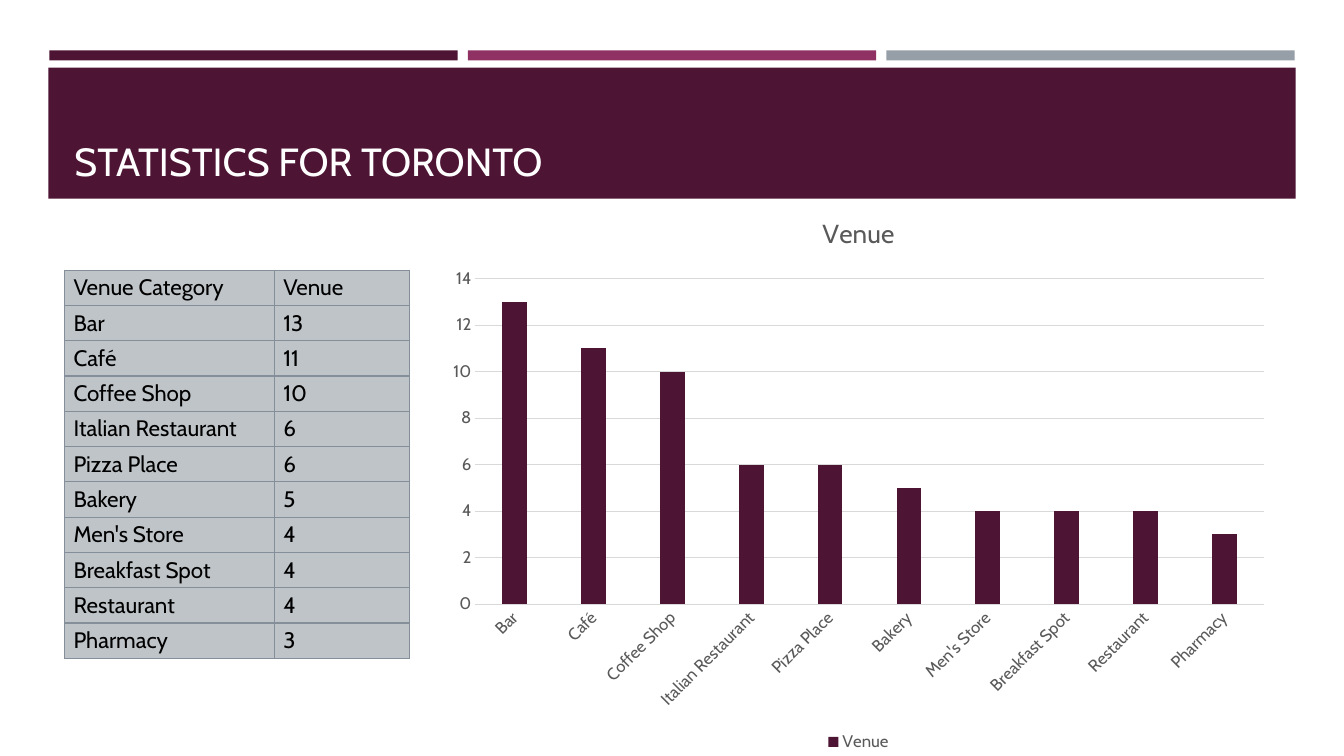
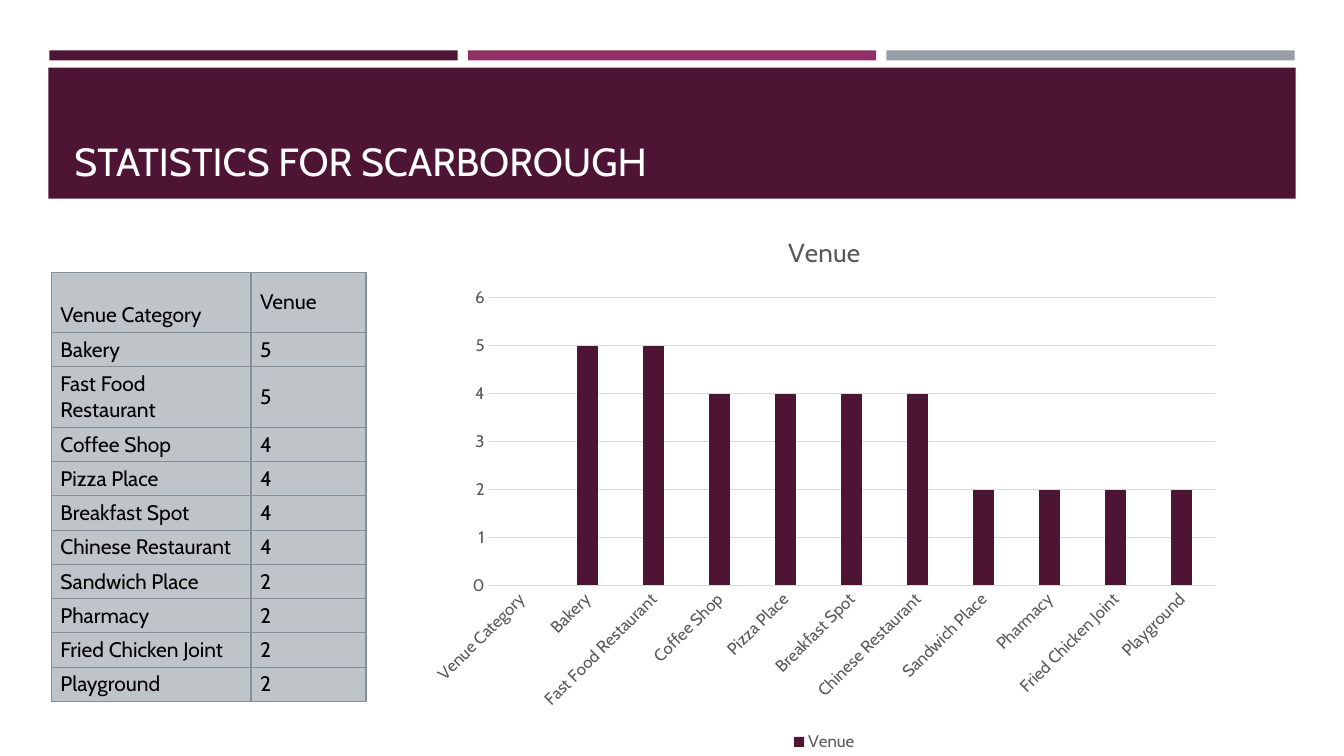
import pptx
import pptx.util
import pptx.chart.data
import pptx.dml.color
import pptx.enum.chart
import pptx.enum.shapes
import pptx.enum.text
import pptx.oxml
import pptx.oxml.ns

Inches, Pt = pptx.util.Inches, pptx.util.Pt
ANCHOR = pptx.enum.text.MSO_ANCHOR

COLORS = {
    "plum": "4D1434", "magenta": "903163", "gray": "969FA7", "white": "FFFFFF",
    "black": "000000", "label": "595959", "grid": "D9D9D9",
    "cell": "BFC4C8", "border": "858F99",
}
FONT = "Cabin"


def rgb(name):
    return pptx.dml.color.RGBColor.from_string(COLORS[name])


def style_font(font, size, color):
    font.name, font.size, font.bold = FONT, Pt(size), False
    font.color.rgb = rgb(color)


def write(tf, text, size=16, color="black", anchor=None):
    """Put one run of formatted text into a text frame."""
    if anchor is not None:
        tf.word_wrap = True
        tf.vertical_anchor = anchor
    r = tf.paragraphs[0].add_run()
    r.text = text
    style_font(r.font, size, color)


class Deck:
    def __init__(self):
        self.prs = pptx.Presentation()
        self.prs.slide_width, self.prs.slide_height = Inches(13.33), Inches(7.5)
        self.s = None

    def slide(self, title):
        """Start a slide with the shared bands and title."""
        self.s = self.prs.slides.add_slide(self.prs.slide_layouts[6])
        for i, color in enumerate(("plum", "magenta", "gray")):
            self.band(0.49 + i * 4.15, 0.5, 4.05, 0.1, color)
        self.band(0.48, 0.67, 12.37, 1.3, "plum")
        sp = self.s.shapes.add_textbox(Inches(0.64), Inches(0.77),
                                       Inches(12.06), Inches(1.11))
        write(sp.text_frame, title, size=28, color="white", anchor=ANCHOR.BOTTOM)

    def band(self, x, y, w, h, color):
        sp = self.s.shapes.add_shape(pptx.enum.shapes.MSO_SHAPE.RECTANGLE,
                                     Inches(x), Inches(y), Inches(w), Inches(h))
        sp.shadow.inherit = False
        sp.fill.solid()
        sp.fill.fore_color.rgb = rgb(color)
        sp.line.fill.background()

    def table(self, x, y, widths, row_height, rows, size, tall=(), tall_height=0.6):
        """Draw a bordered table; rows listed in tall get tall_height."""
        heights = [tall_height if i in tall else row_height for i in range(len(rows))]
        tbl = self.s.shapes.add_table(len(rows), len(widths), Inches(x), Inches(y),
                                      Inches(sum(widths)), Inches(sum(heights))).table
        tbl.first_row = tbl.horz_banding = False
        for col, w in zip(tbl.columns, widths):
            col.width = Inches(w)
        for i, (row, values) in enumerate(zip(tbl.rows, rows)):
            row.height = Inches(heights[i])
            for cell, value in zip(row.cells, values):
                self.cell(cell, str(value), size)
        return tbl

    def cell(self, cell, text, size):
        cell.margin_left = cell.margin_right = Inches(0.09)
        cell.margin_top = cell.margin_bottom = Inches(0.04)
        cell.vertical_anchor = ANCHOR.MIDDLE
        write(cell.text_frame, text, size=size)
        tcPr = cell._tc.get_or_add_tcPr()
        for side in "LRTB":
            tcPr.append(pptx.oxml.parse_xml(
                f'<a:ln{side} {pptx.oxml.ns.nsdecls("a")} w="{Pt(1)}"><a:solidFill>'
                f'<a:srgbClr val="{COLORS["border"]}"/></a:solidFill></a:ln{side}>'))
        cell.fill.solid()
        cell.fill.fore_color.rgb = rgb("cell")

    def column_chart(self, x, y, w, h, name, points):
        data = pptx.chart.data.CategoryChartData()
        data.categories = [category for category, _ in points]
        data.add_series(name, [value for _, value in points])
        chart = self.s.shapes.add_chart(
            pptx.enum.chart.XL_CHART_TYPE.COLUMN_CLUSTERED,
            Inches(x), Inches(y), Inches(w), Inches(h), data).chart
        style_font(chart.font, 10, "black")

        # Title and legend
        chart.has_title = True
        write(chart.chart_title.text_frame, name, size=18.6, color="label")
        chart.chart_title.include_in_layout = False
        chart.has_legend = True
        chart.legend.position = pptx.enum.chart.XL_LEGEND_POSITION.BOTTOM
        chart.legend.include_in_layout = False
        style_font(chart.legend.font, 12, "label")

        # Columns
        plot = chart.plots[0]
        plot.gap_width, plot.overlap, plot.vary_by_categories = 219, -27, False
        fill = plot.series[0].format.fill
        fill.solid()
        fill.fore_color.rgb = rgb("plum")

        # Axes
        cat, val = chart.category_axis, chart.value_axis
        for axis in (cat, val):
            axis.major_tick_mark = axis.minor_tick_mark = pptx.enum.chart.XL_TICK_MARK.NONE
            style_font(axis.tick_labels.font, 12, "label")
        val.has_major_gridlines = True
        val.format.line.fill.background()
        for line in (cat.format.line, val.major_gridlines.format.line):
            line.color.rgb = rgb("grid")
            line.width = Pt(0.75)
        cat._element.find(".//" + pptx.oxml.ns.qn("a:bodyPr")).set("rot", "-2700000")


def main():
    header = ("Venue Category", "Venue")
    toronto = [("Bar", 13), ("Café", 11), ("Coffee Shop", 10),
               ("Italian Restaurant", 6), ("Pizza Place", 6), ("Bakery", 5),
               ("Men's Store", 4), ("Breakfast Spot", 4), ("Restaurant", 4),
               ("Pharmacy", 3)]
    scarborough = [("Bakery", 5), ("Fast Food Restaurant", 5), ("Coffee Shop", 4),
                   ("Pizza Place", 4), ("Breakfast Spot", 4),
                   ("Chinese Restaurant", 4), ("Sandwich Place", 2),
                   ("Pharmacy", 2), ("Fried Chicken Joint", 2), ("Playground", 2)]
    deck = Deck()

    # Toronto
    deck.slide("STATISTICS FOR TORONTO")
    deck.table(0.64, 2.68, (2.08, 1.34), 0.35, [header] + toronto, 16)
    deck.column_chart(4.33, 1.92, 8.37, 5.58, "Venue", toronto)

    # Scarborough: tall header with its first label set low
    deck.slide("STATISTICS FOR SCARBOROUGH")
    tbl = deck.table(0.51, 2.7, (1.98, 1.14), 0.34, [header] + scarborough, 15,
                     tall=(0, 2))
    tbl.cell(0, 0).margin_top = Inches(0.29)
    deck.column_chart(4.14, 2.12, 8.07, 5.38, "Venue",
                      [("Venue Category", None)] + scarborough)

    deck.prs.save("out.pptx")


if __name__ == "__main__":
    main()
